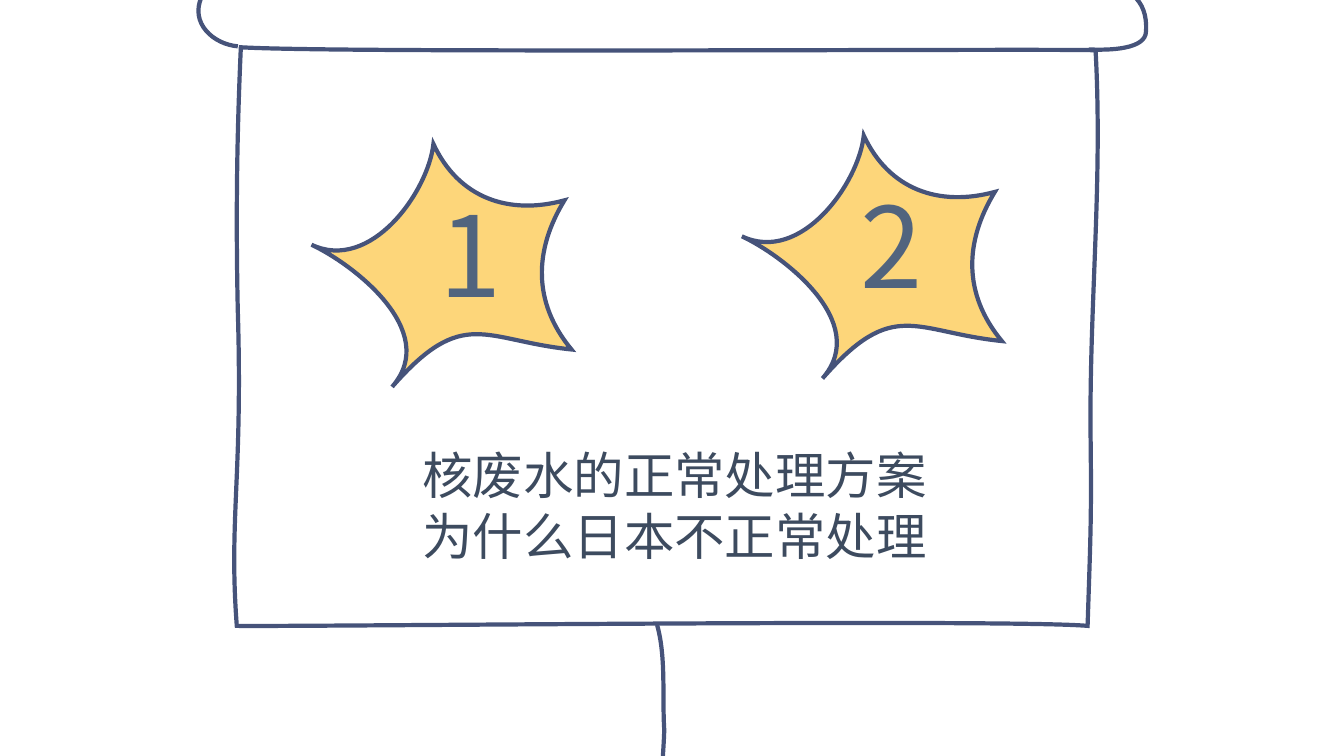
from lxml.etree import SubElement
from pptx import Presentation
from pptx.dml.color import RGBColor
from pptx.enum.text import MSO_ANCHOR, MSO_AUTO_SIZE, PP_ALIGN
from pptx.oxml.ns import qn
from pptx.util import Pt

FONT = "Noto Sans CJK JP"
INK = RGBColor(0x46, 0x53, 0x7A)
YELLOW = RGBColor(0xFD, 0xD6, 0x7A)
TITLE_COLOR = RGBColor(0x3D, 0x4B, 0x5F)
NUMBER_COLOR = RGBColor(0x51, 0x64, 0x7E)

TITLE_LINES = ["核废水的正常处理方案", "为什么日本不正常处理"]
TITLE_BOX = (291, 313.9, 378, 94.3)

# Each outline is a start point, then cubic curves: two control points and an end.
SCREEN = [
    (782.6, 36),
    (763.2, 34.6, 244.1, 38.2, 172.1, 33.8),
    (169.2, 97.9, 168.5, 156.2, 169.9, 221.8),
    (173.5, 340.6, 163.4, 371.5, 169.2, 447.1),
    (212.4, 447.8, 719.3, 442.1, 776.9, 447.1),
    (779, 381.6, 779.8, 370.8, 779, 308.9),
    (778.3, 215.3, 787.7, 129.6, 782.6, 36),
]
ROLLER = [
    (169.9, 33.1),
    (152.6, 31.7, 135.4, 16.6, 144, -2.2),
    (153.4, -23, 187.9, -17.3, 205.2, -17.3),
    (379.4, -17.3, 553.7, -15.8, 727.2, -12.2),
    (758.2, -12.2, 821.5, -24.5, 818.6, 22.3),
    (818.6, 35.3, 792.7, 36, 777.6, 35.3),
]
CORD = [
    (469.4, 446.4),
    (475.9, 469.4, 473, 497.5, 474.5, 521.3),
    (474.5, 524.9, 473, 552.2, 473, 540.7),
]
STAR = [
    (180.7, 40.3),
    (159.1, 75.6, 157.7, 113, 185.7, 146.8),
    (123.1, 140.4, 108.7, 115.2, 57.6, 173.5),
    (92.9, 133.2, 28.1, 84.9, 0, 72),
    (42.5, 92.1, 83.5, 33.8, 87.1, 0),
    (105.1, 38.8, 141.1, 51.1, 180.7, 40.3),
]
# Number, star corner, number box
STARS = [
    ("1", (222.5, 102.8), (307.2, 128.9, 51.8, 104.4)),
    ("2", (529.9, 96.8), (604.1, 122.4, 61.9, 104.4)),
]
BOUND_STEPS = 24


def points_along(outline):
    """Return points on the cubic curves, from which the true extent follows."""
    points = [outline[0]]
    for curve in outline[1:]:
        x0, y0 = points[-1]
        x1, y1, x2, y2, x3, y3 = curve
        for step in range(1, BOUND_STEPS + 1):
            t = step / BOUND_STEPS
            u = 1 - t
            weights = (u ** 3, 3 * u * u * t, 3 * u * t * t, t ** 3)
            points.append((
                sum(w * x for w, x in zip(weights, (x0, x1, x2, x3))),
                sum(w * y for w, y in zip(weights, (y0, y1, y2, y3))),
            ))
    return points


def set_curves(shape, outline, close):
    """Give the freeform its cubic curves, in coordinates from its own corner."""
    trace = next(shape._element.iter(qn("a:path")))
    for child in list(trace):
        trace.remove(child)
    for index, values in enumerate(outline):
        command = SubElement(trace, qn("a:cubicBezTo" if index else "a:moveTo"))
        for x, y in zip(values[::2], values[1::2]):
            point = SubElement(command, qn("a:pt"))
            point.set("x", str(Pt(x) - shape.left))
            point.set("y", str(Pt(y) - shape.top))
    if close:
        SubElement(trace, qn("a:close"))


def draw_outline(shapes, outline, close=False, fill=None):
    start, *rest = [(Pt(x), Pt(y)) for x, y in points_along(outline)]
    builder = shapes.build_freeform(*start, scale=1.0)
    builder.add_line_segments(rest, close=close)
    shape = builder.convert_to_shape()
    set_curves(shape, outline, close)
    shape.shadow.inherit = False
    shape.line.color.rgb = INK
    shape.line.width = Pt(3)
    SubElement(shape._element.spPr.find(qn("a:ln")), qn("a:miter")).set("lim", "800000")
    if fill is None:
        shape.fill.background()
    else:
        shape.fill.solid()
        shape.fill.fore_color.rgb = fill


def move_outline(outline, left, top):
    return [
        tuple(value + (top if index % 2 else left) for index, value in enumerate(values))
        for values in outline
    ]


def write_text(box, lines, size, color, align=PP_ALIGN.RIGHT):
    frame = box.text_frame
    frame.word_wrap = False
    frame.auto_size = MSO_AUTO_SIZE.SHAPE_TO_FIT_TEXT
    frame.vertical_anchor = MSO_ANCHOR.TOP
    for index, line in enumerate(lines):
        para = frame.add_paragraph() if index else frame.paragraphs[0]
        para.alignment = align
        span = para.add_run()
        span.text = line
        span.font.size = Pt(size)
        span.font.color.rgb = color
        span.font.name = FONT
        SubElement(span.font._element, qn("a:ea")).set("typeface", FONT)


def main():
    deck = Presentation()
    deck.slide_width, deck.slide_height = Pt(960), Pt(540)
    page = deck.slides.add_slide(deck.slide_layouts[5])

    title = page.shapes.title
    title.left, title.top, title.width, title.height = map(Pt, TITLE_BOX)
    write_text(title, TITLE_LINES, 36, TITLE_COLOR)

    board = page.shapes.add_group_shape().shapes
    draw_outline(board, SCREEN, close=True)
    draw_outline(board, ROLLER)
    draw_outline(board, CORD)

    for number, corner, number_box in STARS:
        badge = page.shapes.add_group_shape().shapes
        draw_outline(badge, move_outline(STAR, *corner), close=True, fill=YELLOW)
        box = badge.add_textbox(*map(Pt, number_box))
        write_text(box, [number], 80, NUMBER_COLOR)

    deck.save("out.pptx")


if __name__ == "__main__":
    main()
